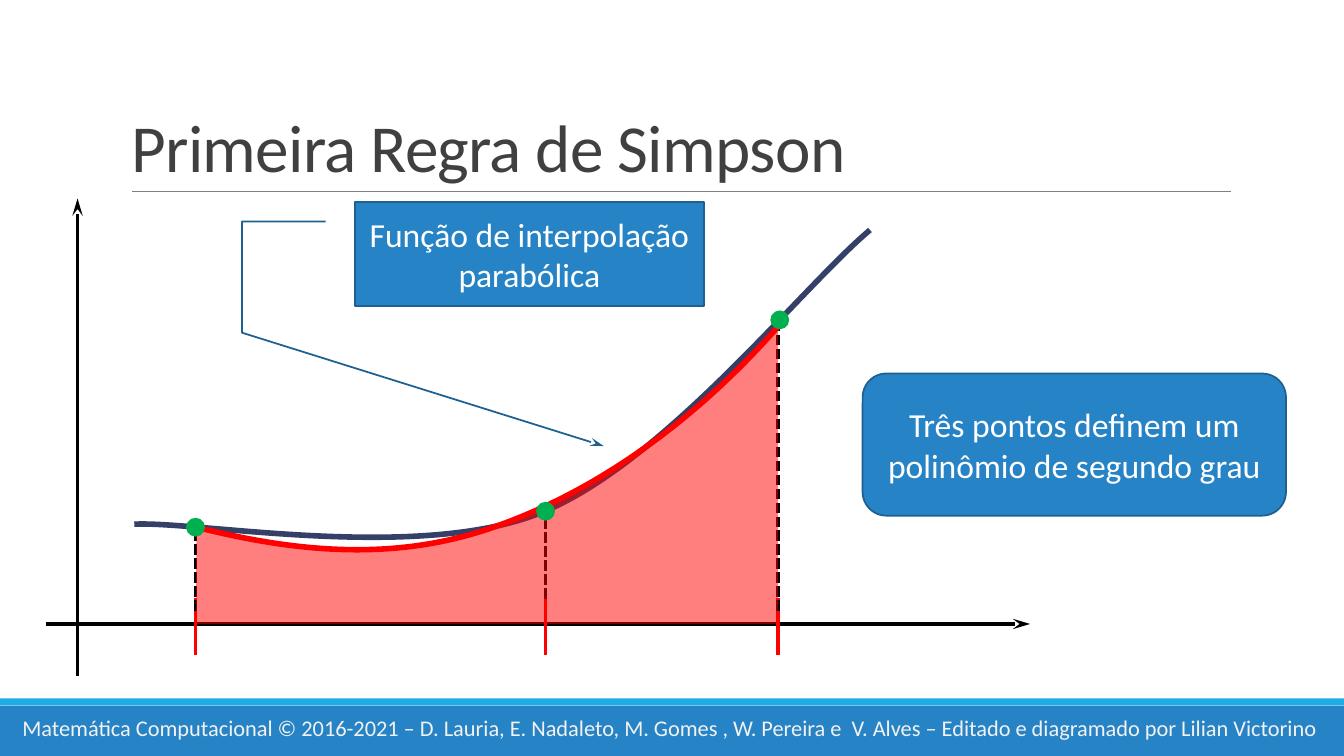
from lxml import etree
from pptx import Presentation
from pptx.dml.color import RGBColor
from pptx.enum.dml import MSO_LINE
from pptx.enum.shapes import MSO_CONNECTOR, MSO_SHAPE
from pptx.enum.text import MSO_ANCHOR, PP_ALIGN
from pptx.oxml.ns import qn
from pptx.util import Pt

COLORS = {
    "blue": "2683C6", "cyan": "1CADE4", "outline": "1C6192",
    "navy": "344068", "red": "FF0000", "green": "00B050",
    "black": "000000", "gray": "808080", "title": "404040",
    "footer": "F2F2F2", "white": "FFFFFF",
}
RGB = {name: RGBColor.from_string(value) for name, value in COLORS.items()}


def add_line(x1, y1, x2, y2, color, width, cap="flat"):
    line = shapes.add_connector(MSO_CONNECTOR.STRAIGHT, Pt(x1), Pt(y1), Pt(x2), Pt(y2))
    outline = line.line._get_or_add_ln()
    outline.set("cap", cap)
    etree.SubElement(outline.getparent(), qn("a:effectLst"))
    line.line.color.rgb = RGB[color]
    line.line.width = Pt(width)
    return line


def add_curve(knots, closed):
    """Add joined cubic Bezier curves: a start, then two handles and an end for each."""
    points = [(Pt(x), Pt(y)) for x, y in knots]
    builder = shapes.build_freeform(*points[0])
    builder.add_line_segments(points[1:], close=closed)
    curve = builder.convert_to_shape()
    curve.shadow.inherit = False
    segments = list(curve._element.iter(qn("a:lnTo")))
    for handle1, handle2, end in zip(*[iter(segments)] * 3):
        handle1.tag = qn("a:cubicBezTo")
        for segment in (handle2, end):
            handle1.append(segment[0])
            segment.getparent().remove(segment)
    return curve


prs = Presentation()
prs.slide_width, prs.slide_height = Pt(960), Pt(540)
slide = prs.slides.add_slide(prs.slide_layouts[6])
shapes = slide.shapes

# Footer bands and title rule
for top, height, color in ((504, 36, "blue"), (498.8, 5.04, "cyan")):
    band = shapes.add_shape(MSO_SHAPE.RECTANGLE, 0, Pt(top), Pt(960), Pt(height))
    band.shadow.inherit = False
    band.fill.solid()
    band.fill.fore_color.rgb = RGB[color]
    band.line.fill.background()
add_line(94.3, 136.8, 879.1, 136.8, "gray", 0.5)

# Axes
AXIS_Y = 445.7
for ends in ((55.4, 481.7, 55.4, 141.8), (33.8, AXIS_Y, 735.8, AXIS_Y)):
    axis = add_line(*ends, "black", 2.5, "sq")
    etree.SubElement(axis.line._get_or_add_ln(), qn("a:tailEnd"), type="stealth", len="lg")

# Function curve
function_curve = add_curve([
    (97.9, 374.4), (146.2, 373), (298.8, 401), (385.9, 366.5),
    (473, 331.9), (571, 207.4), (619.9, 165.6)], False)

# Nodes: tick x, dash bottom, dash top, dot centre
nodes = [
    (139.7, 436.3, 376.6, 139.7, 376.6),
    (389.5, 427.7, 367.9, 389.7, 365.2),
    (555.8, 436.3, 230.4, 557, 228.5),
]
for x, bottom, top, _, _ in nodes:
    add_line(x, 428.4, x, 466.6, "red", 2.5, "sq")
    ordinate = add_line(x, bottom, x, top, "black", 2.5)
    ordinate.line.dash_style = MSO_LINE.SQUARE_DOT

# Area under the parabola
area = add_curve([
    (140.4, AXIS_Y), (140.4, AXIS_Y), (139.7, 447.1), (140.4, 375.8),
    (198.7, 393.8), (282.2, 402.5), (351.4, 378),
    (420.5, 353.5), (503.3, 300.2), (555.8, 229),
    (555.8, 447.1), (555.8, AXIS_Y), (555.8, AXIS_Y)], True)
area.fill.solid()
area.fill.fore_color.rgb = RGB["red"]
srgb = area.fill._xPr.find(".//" + qn("a:srgbClr"))
etree.SubElement(srgb, qn("a:alpha"), val="50000")
area.line.fill.background()

parabola = add_curve([
    (140.4, 376.6), (211.7, 394.6), (281.5, 401), (350.6, 377.3),
    (420.5, 353.5), (492.5, 305.3), (555.8, 233.3)], False)
for curve, color, cap in ((function_curve, "navy", "sq"), (parabola, "red", "flat")):
    curve.fill.background()
    curve.line.color.rgb = RGB[color]
    curve.line.width = Pt(4)
    curve.line._get_or_add_ln().set("cap", cap)

DOT = 12.2
for _, _, _, x, y in nodes:
    dot = shapes.add_shape(MSO_SHAPE.OVAL, Pt(x - DOT / 2), Pt(y - DOT / 2), Pt(DOT), Pt(DOT))
    dot.shadow.inherit = False
    dot.fill.solid()
    dot.fill.fore_color.rgb = RGB["green"]
    dot.line.color.rgb = RGB["green"]
    dot.line.width = Pt(1.25)

# Explanations
three_points = shapes.add_shape(
    MSO_SHAPE.ROUNDED_RECTANGLE, Pt(616.2), Pt(266.8), Pt(302.4), Pt(101.5))
callout = shapes.add_shape(
    MSO_SHAPE.LINE_CALLOUT_3, Pt(253.4), Pt(144.3), Pt(249.5), Pt(74.2))
for index, percent in enumerate((18.8, -8.3, 18.8, -32.3, 125.8, -32.3, 234.9, 71.3)):
    callout.adjustments[index] = percent / 100
for box in (three_points, callout):
    box.shadow.inherit = False
    box.fill.solid()
    box.fill.fore_color.rgb = RGB["blue"]
    box.line.color.rgb = RGB["outline"]
    box.line.width = Pt(1.25)
etree.SubElement(callout.line._get_or_add_ln(), qn("a:tailEnd"), type="stealth", len="lg")

# Wording
title = shapes.add_textbox(Pt(86.8), Pt(22.3), Pt(792), Pt(114.5))
footer = shapes.add_textbox(Pt(8.9), Pt(506.9), Pt(943.2), Pt(26.6))
for box, text, size, color, align, anchor in (
        (three_points, "Três pontos definem um polinômio de segundo grau",
         24, "white", PP_ALIGN.CENTER, MSO_ANCHOR.MIDDLE),
        (callout, "Função de interpolação parabólica",
         24, "white", PP_ALIGN.CENTER, MSO_ANCHOR.MIDDLE),
        (title, "Primeira Regra de Simpson",
         48, "title", PP_ALIGN.LEFT, MSO_ANCHOR.BOTTOM),
        (footer, "Matemática Computacional © 2016-2021 – D. Lauria, E. Nadaleto, "
         "M. Gomes , W. Pereira e  V. Alves – Editado e diagramado por Lilian Victorino",
         16, "footer", PP_ALIGN.LEFT, MSO_ANCHOR.TOP)):
    frame = box.text_frame
    frame.word_wrap = True
    frame.vertical_anchor = anchor
    paragraph = frame.paragraphs[0]
    paragraph.alignment = align
    run = paragraph.add_run()
    run.text = text
    run.font.name = "Calibri"
    run.font.size = Pt(size)
    run.font.color.rgb = RGB[color]
    if box is title:
        paragraph.line_spacing = 0.85
        run.font._element.set("spc", "-50")

prs.save("out.pptx")
